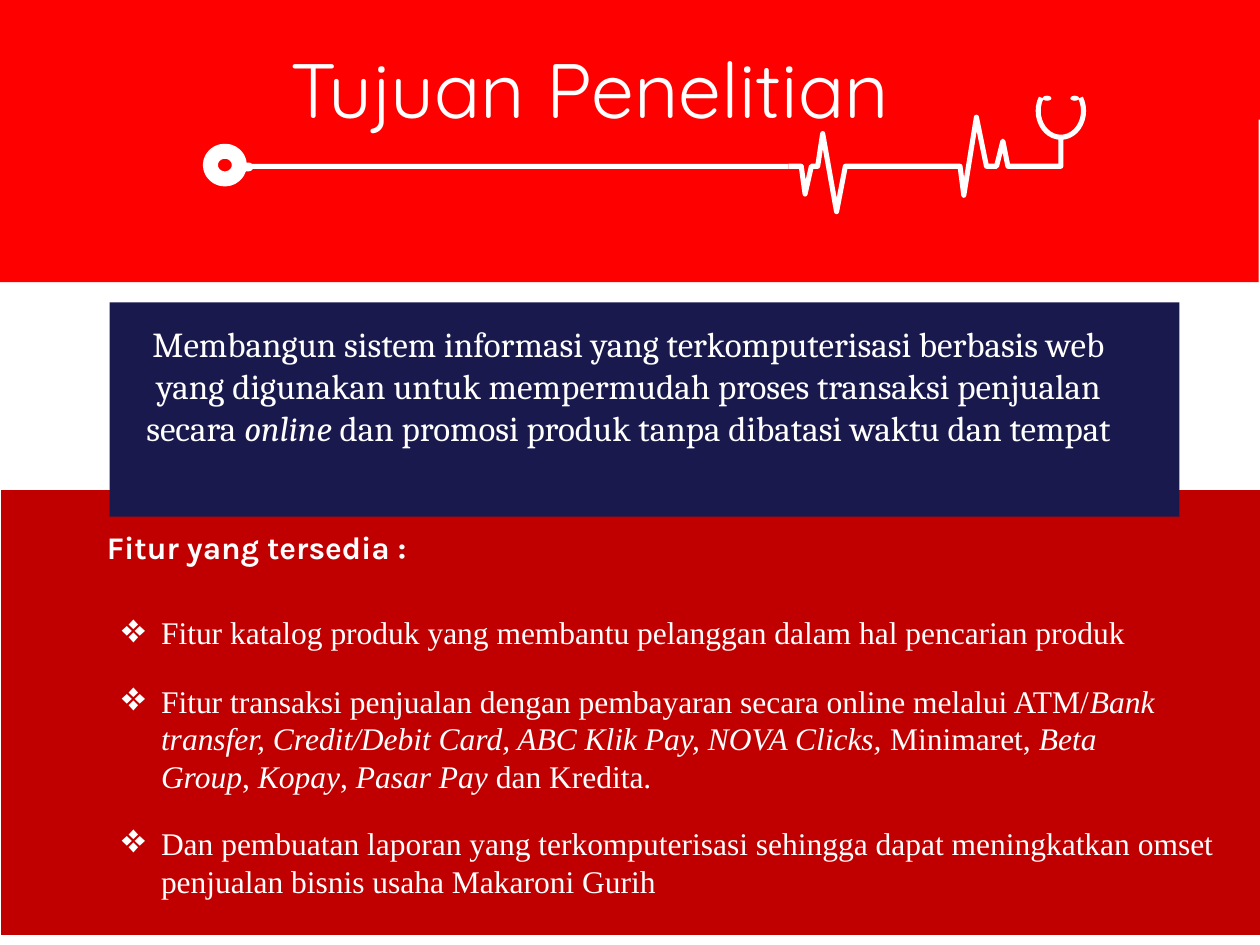
from dataclasses import dataclass
from math import cos, radians, sin
from typing import NamedTuple

from lxml.etree import SubElement as Sub
from pptx import Presentation as Deck
from pptx.dml.color import RGBColor as Color
from pptx.enum.shapes import MSO_SHAPE as Kind
from pptx.enum.text import PP_ALIGN as Align
from pptx.oxml.ns import qn
from pptx.util import Inches, Pt


@dataclass(frozen=True)
class Theme:
    red: Color = Color(255, 0, 0)
    dark: Color = Color(192, 0, 0)
    navy: Color = Color(25, 25, 77)
    white: Color = Color(255, 255, 255)
    title: int = 44
    lead: int = 20
    body: int = 18
    ring: float = 8.57
    wire: float = 2.9


class Box(NamedTuple):
    left: float
    top: float
    wide: float
    high: float

    def emu(self) -> list:
        return [Inches(side) for side in self]


class Point(NamedTuple):
    x: float
    y: float


class Wave(NamedTuple):
    start: float
    end: float
    tips: list[Point]


class Arc(NamedTuple):
    mid: Point
    wide: float
    high: float
    first: int
    last: int


class Item(NamedTuple):
    box: Box
    words: str


THEME = Theme()

HEAD_EDGE = Box(0, 0, 10, 0.95)
HEAD = Box(0, 0, 9.99, 2.24)
FOOT = Box(0.01, 3.89, 9.99, 3.53)
PANEL = Box(0.87, 2.4, 8.49, 1.7)

DISC = Box(1.67, 1.2, 0.23, 0.22)
NECK = Box(1.9, 1.29, 0.11, 0.07)
TUBE = Box(1.96, 1.3, 4.3, 0.04)

BASE = 1.32
WAVES = [
    Wave(6.36, 6.44, [Point(6.39, 1.54)]),
    Wave(6.49, 6.71, [Point(6.53, 1.06), Point(6.64, 1.68)]),
    Wave(7.62, 7.83, [Point(7.65, 1.55), Point(7.75, 0.93)]),
    Wave(7.91, 8, [Point(7.96, 1.12)]),
]
CUP = Arc(Point(8.42, 0.88), 0.18, 0.21, -30, 210)
EAR = Box(0.11, 0.78, 0.07, 0.04)

ITEMS = [
    Item(Box(0.87, 4.82, 8.26, 0.4),
         "Fitur katalog produk yang membantu pelanggan dalam hal pencarian produk"),
    Item(Box(0.87, 5.36, 8.4, 1.31),
         "Fitur transaksi penjualan dengan pembayaran secara online melalui ATM/"
         "*Bank transfer, Credit/Debit Card, ABC Klik Pay, NOVA Clicks, *Minimaret, "
         "*Beta Group*, *Kopay*, *Pasar Pay* dan Kredita."),
    Item(Box(0.87, 6.49, 9.03, 0.71),
         "Dan pembuatan laporan yang terkomputerisasi sehingga dapat meningkatkan "
         "omset penjualan bisnis usaha Makaroni Gurih"),
]


def draw_block(shapes, box: Box, fill: Color, kind: Kind = Kind.RECTANGLE) -> None:
    shape = shapes.add_shape(kind, *box.emu())
    shape.shadow.inherit = False
    shape.fill.solid()
    shape.fill.fore_color.rgb = fill
    shape.line.fill.background()
    if kind == Kind.ROUNDED_RECTANGLE:
        shape.adjustments[0] = 0.5


def stroke(shape, width: float) -> None:
    shape.shadow.inherit = False
    shape.fill.background()
    shape.line.color.rgb = THEME.white
    shape.line.width = Pt(width)
    Sub(shape.line._get_or_add_ln(), qn("a:round"))


def draw_wire(shapes, points: list[Point]) -> None:
    first, *rest = [(Inches(x), Inches(y)) for x, y in points]
    pen = shapes.build_freeform(*first)
    pen.add_line_segments(rest, close=False)
    stroke(pen.convert_to_shape(), THEME.wire)


def trace_beat() -> list[Point]:
    points = [Point(TUBE.left + TUBE.wide, BASE)]
    for wave in WAVES:
        points += [Point(wave.start, BASE), *wave.tips, Point(wave.end, BASE)]
    stem = CUP.mid.x
    return points + [Point(stem, BASE), Point(stem, CUP.mid.y + CUP.high)]


def trace_arc(arc: Arc, step: int = 10) -> list[Point]:
    turns = [radians(turn) for turn in range(arc.first, arc.last + 1, step)]
    return [Point(arc.mid.x + arc.wide * cos(turn), arc.mid.y + arc.high * sin(turn))
            for turn in turns]


def draw_scope(shapes) -> None:
    stroke(shapes.add_shape(Kind.OVAL, *DISC.emu()), THEME.ring)
    draw_block(shapes, NECK, THEME.white, Kind.ROUNDED_RECTANGLE)
    draw_block(shapes, TUBE, THEME.white)
    draw_wire(shapes, trace_beat())
    draw_wire(shapes, trace_arc(CUP))
    for side in (-1, 1):
        left = CUP.mid.x + side * EAR.left - EAR.wide / 2
        box = Box(left, EAR.top - EAR.high / 2, EAR.wide, EAR.high)
        draw_block(shapes, box, THEME.white, Kind.OVAL)


def write(shapes, box: Box, words: str, *, size: int, font: str,
          align: Align = Align.LEFT, bold: bool = False, mark: str = "") -> None:
    frame = shapes.add_textbox(*box.emu()).text_frame
    frame.word_wrap = True
    para = frame.paragraphs[0]
    para.alignment = align
    if mark:
        props = para._p.get_or_add_pPr()
        props.set("marL", str(Inches(0.31)))
        props.set("indent", str(-Inches(0.31)))
        Sub(props, qn("a:buSzPct")).set("val", "130000")
        Sub(props, qn("a:buChar")).set("char", mark)
    for spot, part in enumerate(words.split("*")):
        run = para.add_run()
        run.text = part
        run.font.name = font
        run.font.size = Pt(size)
        run.font.bold = bold
        run.font.italic = spot % 2 == 1
        run.font.color.rgb = THEME.white


def main() -> None:
    deck = Deck()
    deck.slide_width, deck.slide_height = Inches(10), Inches(7.5)
    shapes = deck.slides.add_slide(deck.slide_layouts[6]).shapes
    draw_block(shapes, HEAD_EDGE, THEME.red)
    draw_block(shapes, FOOT, THEME.dark)
    draw_block(shapes, HEAD, THEME.red)
    draw_scope(shapes)
    write(shapes, Box(1.43, 0.28, 6.51, 0.84), "Tujuan Penelitian",
          size=THEME.title, font="Quicksand", align=Align.CENTER)
    draw_block(shapes, PANEL, THEME.navy)
    write(shapes, Box(1.05, 2.51, 7.88, 1.45),
          "Membangun sistem informasi yang terkomputerisasi berbasis web yang "
          "digunakan untuk mempermudah proses transaksi penjualan secara "
          "*online* dan promosi produk tanpa dibatasi waktu dan tempat",
          size=THEME.lead, font="Cambria", align=Align.CENTER)
    write(shapes, Box(0.75, 4.14, 3.15, 0.4), "Fitur yang tersedia :",
          size=THEME.body, font="Karla", bold=True)
    for item in ITEMS:
        write(shapes, item.box, item.words, size=THEME.body,
              font="Times New Roman", mark="❖")
    deck.save("out.pptx")


if __name__ == "__main__":
    main()
